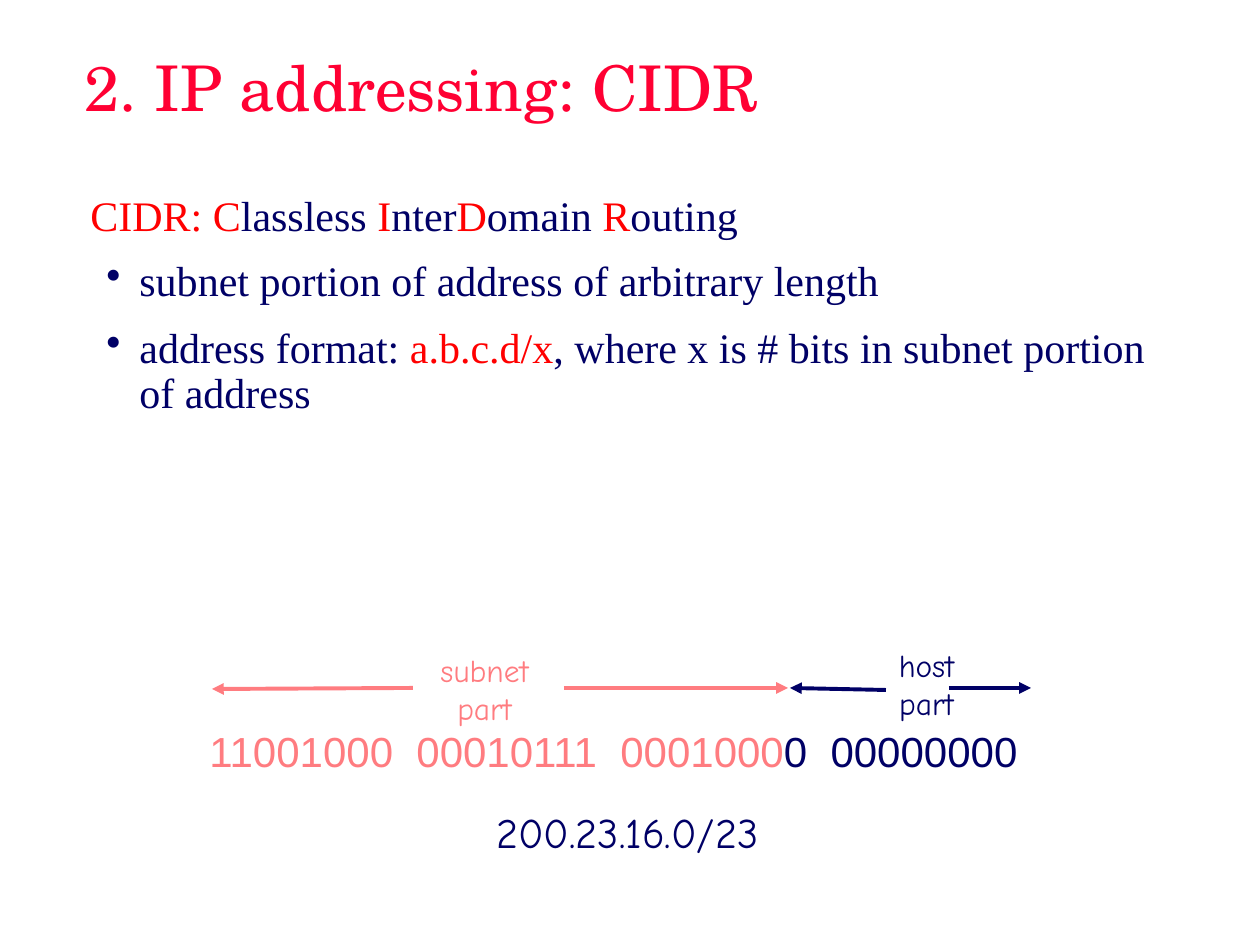
import pptx
import pptx.dml.color
import pptx.enum.shapes
import pptx.enum.text
import pptx.oxml.ns
import pptx.util
from lxml import etree

PX = 914400 // 126
COLORS = {"title": "FF0033", "accent": "FF0000", "navy": "000066", "subnet": "FF7C80"}
ALIGN = pptx.enum.text.PP_ALIGN
ANCHOR = pptx.enum.text.MSO_ANCHOR
FIT = pptx.enum.text.MSO_AUTO_SIZE

# Content: a paragraph is a list of (text, colour) runs
TITLE = [[("2. IP addressing: CIDR", "title")]]
DEFINITION = [
    [("CIDR: C", "accent"), ("lassless ", "navy"), ("I", "accent"), ("nter", "navy"),
     ("D", "accent"), ("omain ", "navy"), ("R", "accent"), ("outing", "navy")],
    [("subnet portion of address of arbitrary length", "navy")],
    [("address format: ", "navy"), ("a.b.c.d/x", "accent"),
     (", where x is # bits in subnet portion of address", "navy")],
]
ADDRESS_BITS = [[("11001000", "subnet"), (" ", "subnet"), ("00010111", "subnet"),
                 (" ", "subnet"), ("0001000", "subnet"), ("0", "navy"),
                 (" ", "navy"), ("00000000", "navy")]]
DOTTED_ADDRESS = [[("200.23.16.0/23", "navy")]]
# Part name, colour, label box, arrows as (from, to)
ADDRESS_PARTS = [
    ("subnet", "subnet", (428, 645, 113, 88),
     [((564, 688), (788, 688)), ((413, 688), (212, 689))]),
    ("host", "navy", (886, 640, 81, 88),
     [((886, 690), (790, 688)), ((949, 688), (1031, 688))]),
]


def px(*lengths):
    return [length * PX for length in lengths]


def write(shape, paragraphs, *, font, size, align=ALIGN.LEFT, anchor=ANCHOR.TOP,
          wrap=False, gap_spacing=None):
    """Fill a shape with coloured runs; gap_spacing widens runs that are one space."""
    frame = shape.text_frame
    frame.word_wrap = wrap
    frame.auto_size = FIT.NONE if wrap else FIT.SHAPE_TO_FIT_TEXT
    frame.vertical_anchor = anchor
    for index, runs in enumerate(paragraphs):
        paragraph = frame.add_paragraph() if index else frame.paragraphs[0]
        paragraph.alignment = align
        for text, color in runs:
            run = paragraph.add_run()
            run.text = text
            run.font.name = font
            run.font.size = pptx.util.Pt(size)
            run.font.color.rgb = pptx.dml.color.RGBColor.from_string(COLORS[color])
            if gap_spacing and text == " ":
                run.font._element.set("spc", str(gap_spacing))
    return frame


def add_bullet(paragraph):
    paragraph.level = 1
    paragraph.line_spacing = 0.9
    paragraph.space_before = pptx.util.Pt(12)
    properties = paragraph._p.get_or_add_pPr()
    properties.set("marL", str(49 * PX))
    properties.set("indent", str(-33 * PX))
    bullet_color = etree.SubElement(properties, pptx.oxml.ns.qn("a:buClr"))
    etree.SubElement(bullet_color, pptx.oxml.ns.qn("a:srgbClr"), val=COLORS["navy"])
    etree.SubElement(properties, pptx.oxml.ns.qn("a:buChar"), char="•")


def add_arrow(slide, start, end, color):
    arrow = slide.shapes.add_connector(
        pptx.enum.shapes.MSO_CONNECTOR.STRAIGHT, *px(*start, *end))
    arrow.line.color.rgb = pptx.dml.color.RGBColor.from_string(COLORS[color])
    arrow.line.width = pptx.util.Pt(2.25)
    etree.SubElement(arrow.line._get_or_add_ln(), pptx.oxml.ns.qn("a:tailEnd"),
                     type="triangle")
    etree.SubElement(arrow._element.spPr, pptx.oxml.ns.qn("a:effectLst"))


def main():
    deck = pptx.Presentation()
    deck.slide_width, deck.slide_height = px(1260, 945)
    slide = deck.slides.add_slide(deck.slide_layouts[5])

    # Title
    title = slide.shapes.title
    title.left, title.top, title.width, title.height = px(72, 0, 1129, 173)
    write(title, TITLE, font="TeX Gyre Schola", size=36, anchor=ANCHOR.MIDDLE, wrap=True)

    # Definition and its bullets
    definition = slide.shapes.add_textbox(*px(78, 183, 1118, 437))
    heading, *points = write(definition, DEFINITION, font="Times New Roman", size=24,
                             wrap=True).paragraphs
    heading.space_before = pptx.util.Pt(15)
    for point in points:
        add_bullet(point)

    # Address in bits
    bits = slide.shapes.add_textbox(*px(197, 719, 843, 63))
    write(bits, ADDRESS_BITS, font="Arial", size=24, gap_spacing=667)

    # Labels and extents of the address parts
    for name, color, box, arrows in ADDRESS_PARTS:
        label = slide.shapes.add_textbox(*px(*box))
        write(label, [[(name, color)], [("part", color)]], font="Comic Neue", size=18,
              align=ALIGN.CENTER)
        for start, end in arrows:
            add_arrow(slide, start, end, color)

    # Address in dotted form
    dotted = slide.shapes.add_textbox(*px(484, 800, 287, 63))
    write(dotted, DOTTED_ADDRESS, font="Comic Neue", size=24)

    deck.save("out.pptx")


if __name__ == "__main__":
    main()
